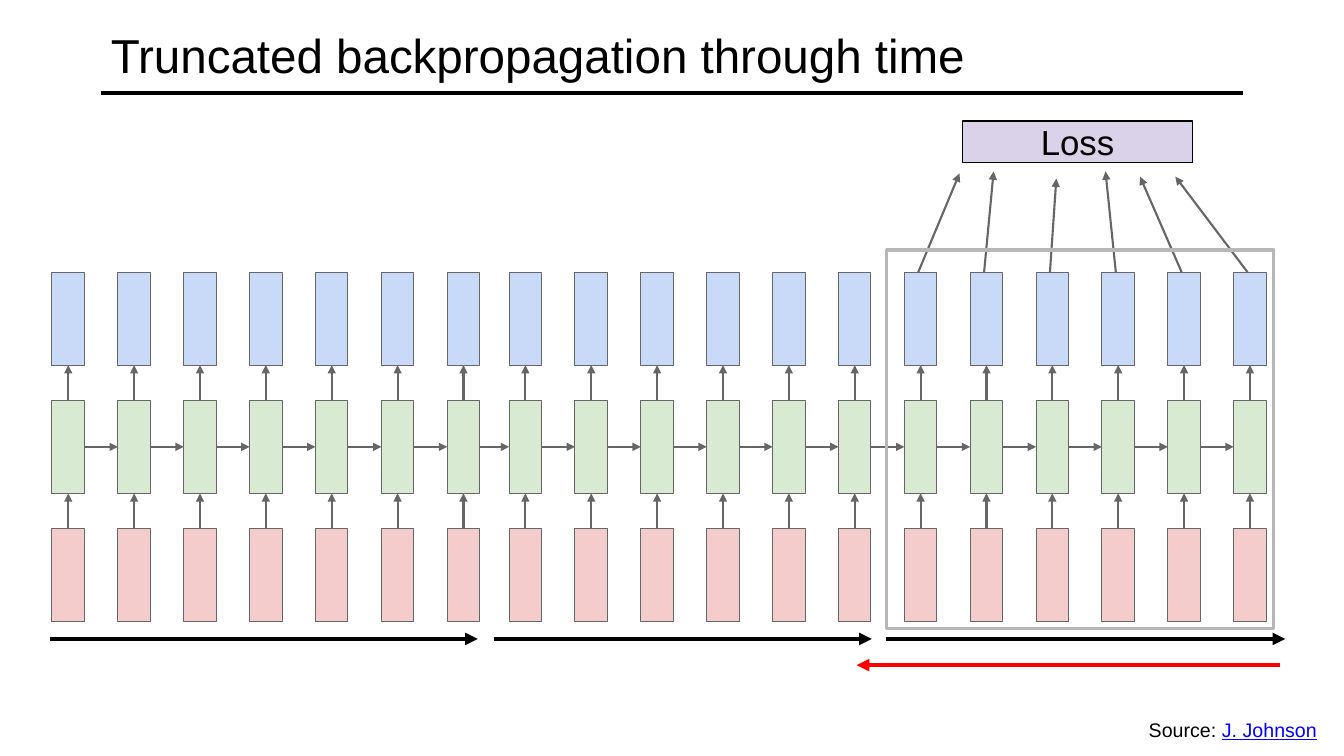
"""Build a slide on truncated backpropagation through time."""
from dataclasses import dataclass

from lxml.etree import SubElement
from pptx import Presentation
from pptx.dml.color import RGBColor
from pptx.enum.shapes import MSO_CONNECTOR, MSO_SHAPE
from pptx.enum.text import MSO_ANCHOR, MSO_AUTO_SIZE, PP_ALIGN
from pptx.oxml.ns import qn
from pptx.util import Cm, Pt


@dataclass(frozen=True)
class Theme:
    font: str = "Arial"
    ink: str = "000000"
    link: str = "0000FF"
    gradient: str = "FF0000"
    edge: str = "666666"
    frame: str = "B7B7B7"
    output: str = "C9DAF8"
    hidden: str = "D9EAD3"
    input: str = "F4CCCC"
    loss: str = "D9D2E9"
    title_size: float = 34
    loss_size: float = 24.9
    source_size: float = 14


def add_box(x, y, w, h, fill, line, weight=0.75):
    sp = s.shapes.add_shape(MSO_SHAPE.RECTANGLE, Cm(x), Cm(y), Cm(w), Cm(h))
    sp.shadow.inherit = False
    if fill:
        sp.fill.solid()
        sp.fill.fore_color.rgb = RGBColor.from_string(fill)
    else:
        sp.fill.background()
    sp.line.color.rgb = RGBColor.from_string(line)
    sp.line.width = Pt(weight)
    return sp


def add_line(x1, y1, x2, y2, color=Theme.edge, weight=1.5, arrow=True):
    c = s.shapes.add_connector(MSO_CONNECTOR.STRAIGHT, Cm(x1), Cm(y1), Cm(x2), Cm(y2))
    c.line.color.rgb = RGBColor.from_string(color)
    c.line.width = Pt(weight)
    if arrow:
        SubElement(c.line._get_or_add_ln(), qn("a:tailEnd"), type="triangle")
    SubElement(c._element.spPr, qn("a:effectLst"))


theme = Theme()
prs = Presentation()
prs.slide_width, prs.slide_height = Cm(33.87), Cm(19.05)
s = prs.slides.add_slide(prs.slide_layouts[5])

add_line(2.54, 2.34, 31.32, 2.34, theme.ink, 3, arrow=False)
title = s.shapes.title
title.left, title.top, title.width, title.height = Cm(2.54), Cm(0.2), Cm(28.78), Cm(2.34)
title_tf = title.text_frame
title_tf.auto_size = MSO_AUTO_SIZE.NONE

cell_w, cell_h, step_x, step_y = 0.82, 2.34, 1.66, 3.23
top = 6.86
columns = [1.31 + step_x * i for i in range(7)] + [12.83 + step_x * i for i in range(12)]
rows = [top + step_y * i for i in range(3)]

for x in columns:
    for y, fill in zip(rows, (theme.output, theme.hidden, theme.input)):
        add_box(x, y, cell_w, cell_h, fill, theme.edge)
    for y in rows[1:]:
        add_line(x + cell_w / 2, y, x + cell_w / 2, y - step_y + cell_h)

hidden_mid = rows[1] + cell_h / 2
for x, following in zip(columns, columns[1:]):
    add_line(x + cell_w, hidden_mid, following, hidden_mid)

loss = add_box(24.26, 3.05, 5.79, 1.04, theme.loss, theme.ink)
loss_tf = loss.text_frame
loss_tf.margin_left = loss_tf.margin_right = Cm(0.33)
loss_tf.margin_top = loss_tf.margin_bottom = Cm(0.33)

loss_ends = [(24.18, 4.37), (25.04, 4.32), (26.62, 4.5), (27.86, 4.32), (28.73, 4.45), (29.62, 4.45)]
for x, (end_x, end_y) in zip(columns[-6:], loss_ends):
    add_line(x + cell_w / 2 - 0.06, top, end_x, end_y)

for start, end in ((1.27, 12.04), (12.45, 21.97), (22.33, 32.39)):
    add_line(start, 16.1, end, 16.1, theme.ink, 3)
add_line(32.26, 16.76, 21.59, 16.76, theme.gradient, 3)
add_box(22.35, 6.3, 9.75, 9.53, None, theme.frame, 2.25)

source = s.shapes.add_textbox(Cm(28.7), Cm(17.96), Cm(4.78), Cm(0.86))
source_tf = source.text_frame
source_tf.word_wrap = False
source_tf.auto_size = MSO_AUTO_SIZE.SHAPE_TO_FIT_TEXT

texts = [
    (title_tf, PP_ALIGN.LEFT, MSO_ANCHOR.MIDDLE, theme.title_size,
     [("Truncated backpropagation through time", theme.ink, False)]),
    (loss_tf, PP_ALIGN.CENTER, MSO_ANCHOR.MIDDLE, theme.loss_size, [("Loss", theme.ink, False)]),
    (source_tf, PP_ALIGN.LEFT, MSO_ANCHOR.TOP, theme.source_size,
     [("Source: ", theme.ink, False), ("J. Johnson", theme.link, True)]),
]
for tf, align, anchor, size, runs in texts:
    tf.vertical_anchor = anchor
    p = tf.paragraphs[0]
    p.alignment = align
    for text, color, underline in runs:
        r = p.add_run()
        r.text = text
        r.font.name = theme.font
        r.font.size = Pt(size)
        r.font.color.rgb = RGBColor.from_string(color)
        r.font.underline = underline

prs.save("out.pptx")
